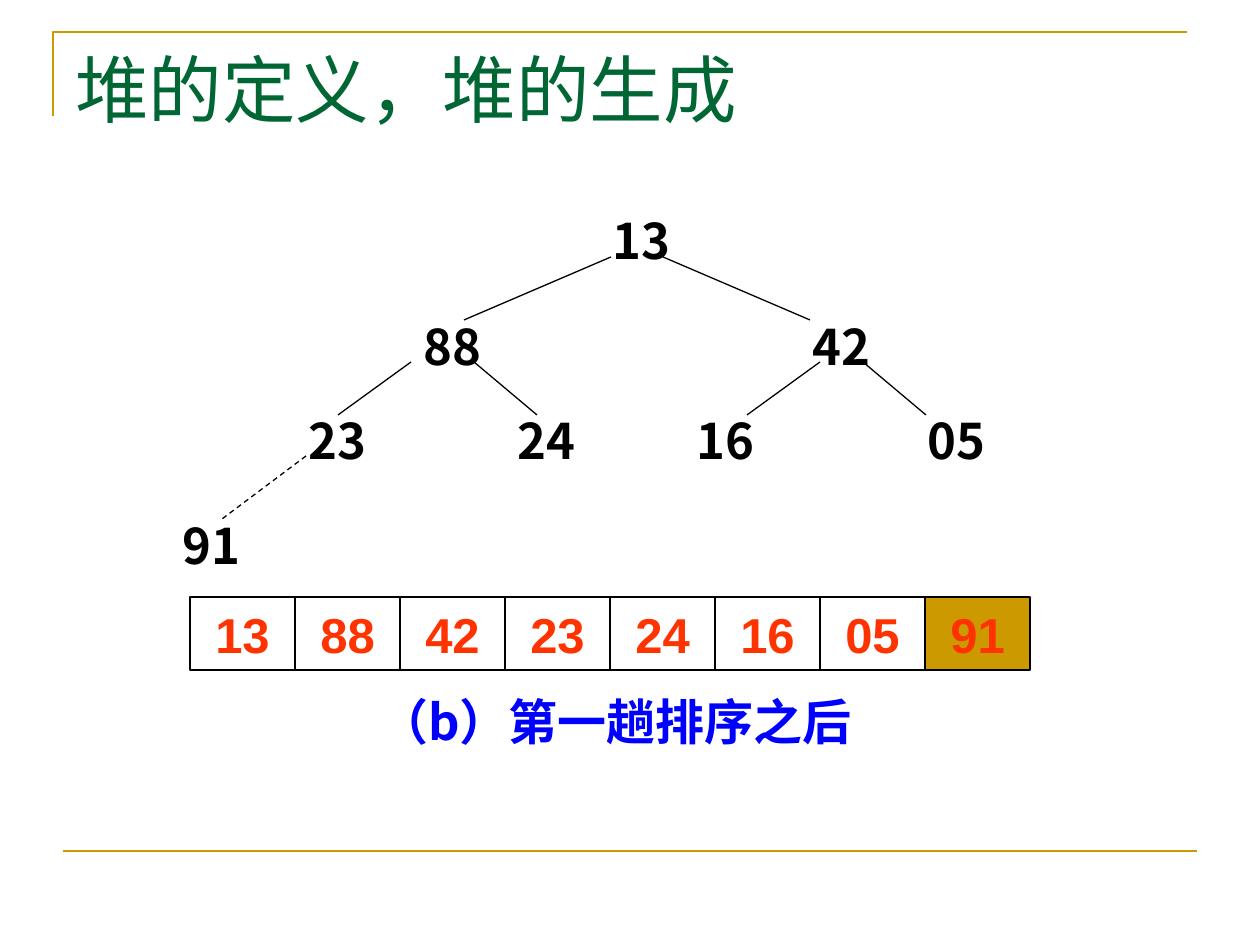
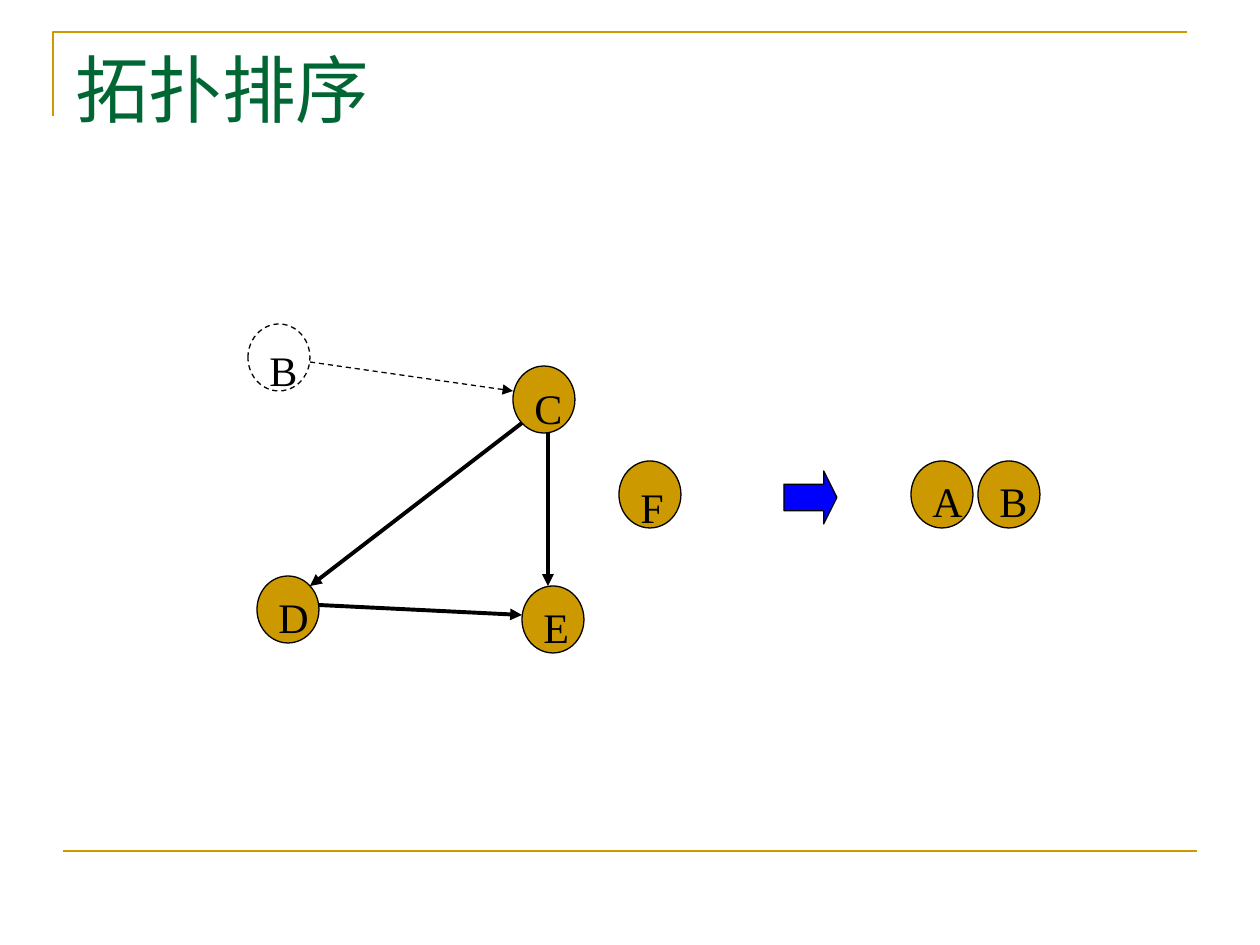
from dataclasses import dataclass

from pptx import Presentation
from pptx import util as u
from pptx.dml.color import RGBColor
from pptx.enum import dml, shapes, text
from pptx.oxml.ns import qn
from lxml import etree

PX = 914400 / 126
GOLD, GREEN, BLUE, RED, BLACK = "CC9900", "006633", "0000FF", "FF3300", "000000"
SANS, SERIF, CJK = "Arial", "Times New Roman", "Noto Sans CJK SC"
NODE_W, NODE_H = 62, 67
CELL_W, CELL_H = 105, 73


@dataclass
class Edge:
    x1: int
    y1: int
    x2: int
    y2: int
    width: float = 0.75
    dashed: bool = False
    arrow: bool = False
    color: str = BLACK


@dataclass
class TreeNode:
    value: str
    x: int
    y: int


@dataclass
class GraphNode:
    name: str
    x: int
    y: int
    label_dy: int
    removed: bool = False


LEVELS = [204, 310, 404, 509]
TREE = [
    TreeNode("13", 600, LEVELS[0]),
    TreeNode("88", 411, LEVELS[1]),
    TreeNode("42", 800, LEVELS[1]),
    TreeNode("23", 296, LEVELS[2]),
    TreeNode("24", 505, LEVELS[2]),
    TreeNode("16", 684, LEVELS[2]),
    TreeNode("05", 915, LEVELS[2]),
    TreeNode("91", 170, LEVELS[3]),
]
TREE_EDGES = [
    Edge(611, 257, 464, 320),
    Edge(663, 257, 810, 320),
    Edge(411, 362, 338, 415),
    Edge(474, 362, 537, 415),
    Edge(820, 362, 747, 415),
    Edge(863, 362, 926, 415),
    Edge(306, 456, 222, 519, dashed=True),
]
GRAPH = [
    GraphNode("B", 248, 324, 10, removed=True),
    GraphNode("C", 513, 366, 6),
    GraphNode("D", 257, 576, 5),
    GraphNode("E", 522, 586, 5),
    GraphNode("F", 619, 461, 10),
]
SORTED_NODES = [GraphNode("A", 911, 461, 4), GraphNode("B", 978, 461, 4)]
GRAPH_EDGES = [
    Edge(310, 362, 513, 391, dashed=True, arrow=True),
    Edge(319, 605, 522, 615, width=2.25, arrow=True),
    Edge(548, 433, 548, 586, width=2.25, arrow=True),
    Edge(522, 423, 310, 586, width=2.25, arrow=True),
]


def px(n: float) -> int:
    return round(n * PX)


def rgb(color: str) -> RGBColor:
    return RGBColor.from_string(color)


def style_line(line, color: str, width: float, dashed: bool = False) -> None:
    line.color.rgb = rgb(color)
    line.width = u.Pt(width)
    if dashed:
        line.dash_style = dml.MSO_LINE.DASH


def write(tf, content: str, *, font: str, size: int, color: str, bold: bool = False,
          align=text.PP_ALIGN.LEFT, anchor=text.MSO_ANCHOR.MIDDLE,
          top: int = 0, bottom: int = 0) -> None:
    """Fill a text frame with one formatted paragraph."""
    tf.word_wrap = True
    tf.vertical_anchor = anchor
    tf.margin_top, tf.margin_bottom = px(top), px(bottom)
    p = tf.paragraphs[0]
    p.alignment = align
    r = p.add_run()
    r.text = content
    r.font.name, r.font.size, r.font.bold = font, u.Pt(size), bold
    r.font.color.rgb = rgb(color)
    ea = etree.SubElement(r.font._element, qn("a:ea"))
    ea.set("typeface", CJK)


def add_text(s, x: int, y: int, w: int, h: int, content: str, **fmt) -> None:
    write(s.shapes.add_textbox(px(x), px(y), px(w), px(h)).text_frame, content, **fmt)


def add_shape(s, kind, x: int, y: int, w: int, h: int,
              fill: str | None = None, dashed: bool = False):
    sp = s.shapes.add_shape(kind, px(x), px(y), px(w), px(h))
    sp.shadow.inherit = False
    if fill:
        sp.fill.solid()
        sp.fill.fore_color.rgb = rgb(fill)
    else:
        sp.fill.background()
    style_line(sp.line, BLACK, 0.75, dashed)
    return sp


def add_edge(s, e: Edge) -> None:
    c = s.shapes.add_connector(shapes.MSO_CONNECTOR.STRAIGHT,
                               px(e.x1), px(e.y1), px(e.x2), px(e.y2))
    style_line(c.line, e.color, e.width, e.dashed)
    sp_pr = c._element.spPr
    if e.arrow:
        etree.SubElement(sp_pr.find(qn("a:ln")), qn("a:tailEnd")).set("type", "triangle")
    etree.SubElement(sp_pr, qn("a:effectLst"))


def add_graph_node(s, n: GraphNode) -> None:
    add_shape(s, shapes.MSO_SHAPE.OVAL, n.x, n.y, NODE_W, NODE_H,
              None if n.removed else GOLD, n.removed)
    add_text(s, n.x + 9, n.y + n.label_dy, 42, 63, n.name, font=SERIF, size=24,
             color=BLACK, anchor=text.MSO_ANCHOR.TOP, top=11)


def new_slide(prs, title: str):
    """Add a blank slide with the corner bracket, bottom rule and title."""
    s = prs.slides.add_slide(prs.slide_layouts[6])
    fb = s.shapes.build_freeform(53, 116, scale=PX)
    fb.add_line_segments([(53, 32), (1187, 32)], close=False)
    bracket = fb.convert_to_shape()
    bracket.shadow.inherit = False
    bracket.fill.background()
    style_line(bracket.line, GOLD, 1.5)
    add_edge(s, Edge(63, 851, 1197, 851, width=1.5, color=GOLD))
    add_text(s, 63, 38, 1134, 157, title, font=SERIF, size=42, color=GREEN,
             anchor=text.MSO_ANCHOR.TOP, top=6, bottom=6)
    return s


def heap_slide(prs) -> None:
    s = new_slide(prs, "堆的定义，堆的生成")
    for n in TREE:
        add_text(s, n.x, n.y, 84, 72, n.value, font=CJK, size=28, color=BLACK, bold=True)
    for e in TREE_EDGES:
        add_edge(s, e)
    for i, n in enumerate(TREE):
        is_sorted = i == len(TREE) - 1
        cell = add_shape(s, shapes.MSO_SHAPE.RECTANGLE, 190 + i * CELL_W, 597,
                         CELL_W, CELL_H, GOLD if is_sorted else None)
        write(cell.text_frame, n.value, font=SANS, size=28, color=RED, bold=True,
              align=text.PP_ALIGN.CENTER, top=6, bottom=6)
    add_text(s, 253, 685, 725, 72, "（b）第一趟排序之后", font=CJK, size=28,
             color=BLUE, bold=True, align=text.PP_ALIGN.CENTER)


def topological_slide(prs) -> None:
    s = new_slide(prs, "拓扑排序")
    for e in GRAPH_EDGES:
        add_edge(s, e)
    for n in GRAPH + SORTED_NODES:
        add_graph_node(s, n)
    arrow = add_shape(s, shapes.MSO_SHAPE.RIGHT_ARROW, 784, 471, 53, 53, BLUE)
    arrow.adjustments[0], arrow.adjustments[1] = 0.5, 0.25


def main() -> None:
    prs = Presentation()
    prs.slide_width, prs.slide_height = px(1260), px(945)
    heap_slide(prs)
    topological_slide(prs)
    prs.save("out.pptx")


if __name__ == "__main__":
    main()
